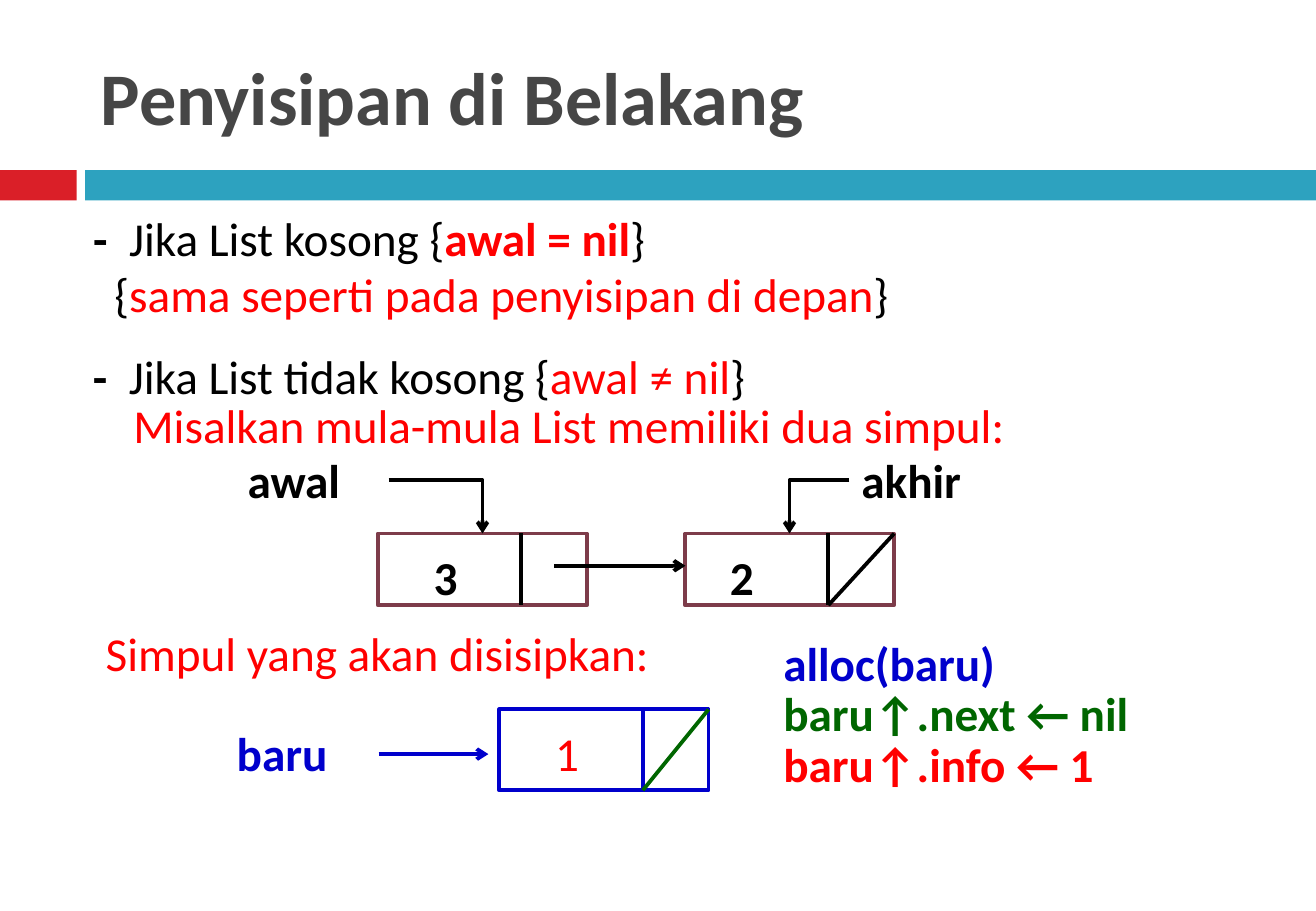
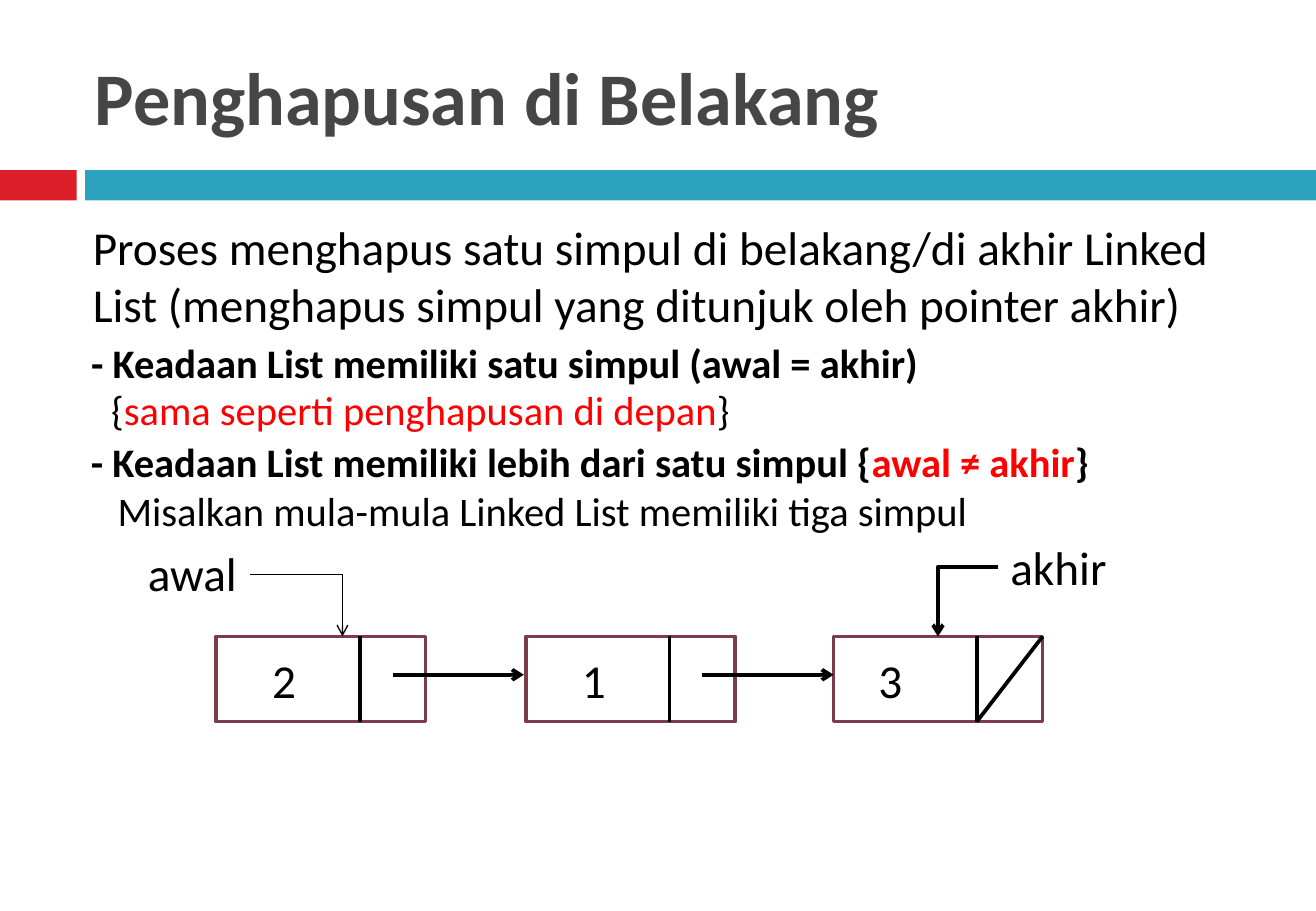
"""Build two slides on inserting and deleting at the end of a linked list."""
from dataclasses import dataclass
from typing import NamedTuple

from lxml import etree
from pptx import Presentation
from pptx.dml.color import RGBColor
from pptx.enum.shapes import MSO_CONNECTOR, MSO_SHAPE
from pptx.enum.text import MSO_ANCHOR, MSO_AUTO_SIZE, PP_ALIGN
from pptx.oxml.ns import qn
from pptx.util import Pt

RECT = MSO_SHAPE.RECTANGLE
LINE, ELBOW = MSO_CONNECTOR.STRAIGHT, MSO_CONNECTOR.ELBOW
TOP, MIDDLE = MSO_ANCHOR.TOP, MSO_ANCHOR.MIDDLE
FIXED, LEFT = MSO_AUTO_SIZE.NONE, PP_ALIGN.LEFT
FONT = "Calibri"
HUES = {
    "black": "000000", "white": "FFFFFF", "grey": "464646", "red": "FF0000",
    "blue": "0000CC", "green": "006600", "wine": "7D3C4A",
    "band": "2DA2BF", "tab": "DA1F28",
}
WIDE, HIGH = 780, 540
NODE, SPLIT, NEXT, REACH = 124, 85, 104.5, 77.8
ABOVE, BEFORE, AFTER = 0, 1, 3


class Run(NamedTuple):
    text: str
    hue: str = "black"
    bold: bool = False


@dataclass
class Node:
    x: float
    y: float
    high: float
    value: Run
    inset: float = 26
    edge: str = "wine"
    split: str = "black"
    slash: str = ""


def tint(name: str) -> RGBColor:
    return RGBColor.from_string(HUES[name])


def write(shape, *runs: Run, size=28, left=0, hang=0, more=False, anchor=TOP):
    frame = shape.text_frame
    frame.word_wrap = True
    frame.auto_size = FIXED
    frame.vertical_anchor = anchor
    para = frame.add_paragraph() if more else frame.paragraphs[0]
    para.alignment = LEFT
    para.space_before = Pt(0)
    props = para._p.get_or_add_pPr()
    props.set("marL", str(Pt(left)))
    props.set("indent", str(Pt(-hang)))
    etree.SubElement(props, qn("a:buNone"))
    for item in runs:
        run = para.add_run()
        run.text = item.text
        font = run.font
        font.name, font.size, font.bold = FONT, Pt(size), item.bold
        font.color.rgb = tint(item.hue)
    return shape


def place(shape, x: float, y: float, wide: float, high: float):
    shape.left, shape.top = Pt(x), Pt(y)
    shape.width, shape.height = Pt(wide), Pt(high)
    return shape


def label(slide, x: float, y: float, wide: float, high: float, *runs: Run, **form):
    box = slide.shapes.add_textbox(Pt(x), Pt(y), Pt(wide), Pt(high))
    return write(box, *runs, **form)


def block(slide, x: float, y: float, wide: float, high: float, fill: str, edge=""):
    box = slide.shapes.add_shape(RECT, Pt(x), Pt(y), Pt(wide), Pt(high))
    box.shadow.inherit = False
    box.fill.solid()
    box.fill.fore_color.rgb = tint(fill)
    if edge:
        box.line.color.rgb = tint(edge)
        box.line.width = Pt(2.25)
    else:
        box.line.fill.background()
    return box


def link(slide, x: float, y: float, to_x: float, to_y: float,
         hue="black", width=2.25, arrow=False, bent=False):
    kind = ELBOW if bent else LINE
    wire = slide.shapes.add_connector(kind, Pt(x), Pt(y), Pt(to_x), Pt(to_y))
    wire.line.color.rgb = tint(hue)
    wire.line.width = Pt(width)
    props = wire.element.spPr
    if bent:
        props.find(qn("a:prstGeom")).set("prst", "bentConnector2")
    if arrow:
        etree.SubElement(props.find(qn("a:ln")), qn("a:tailEnd"), type="arrow")
    etree.SubElement(props, qn("a:effectLst"))
    return wire


def point(slide, name, side: int, box):
    x = name.left + (name.width if side == AFTER else 0)
    y = name.top + name.height // 2
    mid = box.left + box.width // 2
    wire = link(slide, x / Pt(1), y / Pt(1), mid / Pt(1), box.top / Pt(1),
                arrow=True, bent=True)
    wire.begin_connect(name, side)
    wire.end_connect(box, ABOVE)


def draw(slide, node: Node):
    x, y, end = node.x, node.y, node.y + node.high
    box = block(slide, x, y, NODE, node.high, "white", node.edge)
    link(slide, x + SPLIT, y, x + SPLIT, end, node.split)
    if node.slash:
        link(slide, x + NODE, y, x + SPLIT, end, node.slash)
    label(slide, x + node.inset, y + 5, 45.5, 41, node.value)
    return box


def chain(slide, nodes: list[Node]) -> list:
    boxes = [draw(slide, node) for node in nodes]
    for node in nodes[:-1]:
        x, y = node.x + NEXT, node.y + 0.45 * node.high
        link(slide, x, y, x + REACH, y, arrow=True)
    return boxes


def start(deck, title: str, x: float):
    slide = deck.slides.add_slide(deck.slide_layouts[1])
    block(slide, 0, 100.8, 45.4, 18, "tab")
    block(slide, 50.4, 100.8, WIDE - 50.4, 18, "band")
    head = place(slide.shapes.title, x, 18, 695.5, 78)
    write(head, Run(title, "grey", True), size=44, anchor=MIDDLE)
    return slide, slide.placeholders[1]


def insert(deck):
    slide, body = start(deck, "Penyisipan di Belakang", 52.5)
    dash = Run("-\t", bold=True)
    place(body, 48, 120.25, 695.5, 96)
    write(body, dash, Run("Jika List kosong {"), Run("awal = nil", "red", True),
          Run("}"), left=21.3, hang=21.3)
    write(body, Run("{"), Run("sama seperti pada penyisipan di depan", "red"),
          Run("}"), left=12.6, more=True)
    label(slide, 48, 202.25, 695.5, 54, dash, Run("Jika List tidak kosong {"),
          Run("awal ≠ nil", "red"), Run("}"), left=21.3, hang=21.3)
    label(slide, 72, 231.25, 624, 54,
          Run("Misalkan mula-mula List memiliki dua simpul:", "red"))

    first, last = chain(slide, [
        Node(224, 316.25, 42.5, Run("3", bold=True)),
        Node(406, 316.25, 42.5, Run("2", bold=True), 19.5, slash="black"),
    ])
    awal = label(slide, 139.7, 264.25, 90.7, 41, Run("awal", bold=True))
    akhir = label(slide, 503.5, 264.25, 90.7, 41, Run("akhir", bold=True))
    point(slide, awal, AFTER, first)
    point(slide, akhir, BEFORE, last)

    label(slide, 55.5, 366.5, 624, 54, Run("Simpul yang akan disisipkan:", "red"))
    draw(slide, Node(296, 420.5, 48, Run("1", "red"), 26, "blue", "blue", "green"))
    label(slide, 133.25, 425.5, 90.7, 41, Run("baru", "blue", True))
    link(slide, 224.5, 447, 289.5, 447, "blue", arrow=True)
    steps = [("alloc(baru)", "blue"), ("baru↑.next ← nil", "green"),
             ("baru↑.info ← 1", "red")]
    for row, (text, hue) in enumerate(steps):
        label(slide, 457.2, 372.25 + 30 * row, 264, 54, Run(text, hue, True))


def delete(deck):
    slide, body = start(deck, "Penghapusan di Belakang", 49)
    label(slide, 48, 126, 700, 93.5,
          Run("Proses menghapus satu simpul di belakang/di akhir Linked List "
              "(menghapus simpul yang ditunjuk oleh pointer akhir)"))
    place(body, 46.8, 196.5, 695.5, 40)
    write(body, Run("- Keadaan List memiliki satu simpul (awal = akhir)", bold=True),
          size=24)
    label(slide, 48, 224.6, 695.5, 45, Run("{"),
          Run("sama seperti penghapusan di depan", "red"), Run("}"),
          size=24, left=10.8)
    label(slide, 46.8, 255.6, 695.5, 45,
          Run("- Keadaan List memiliki lebih dari satu simpul {", bold=True),
          Run("awal ≠ akhir", "red", True), Run("}", bold=True), size=24)
    label(slide, 62.6, 284.4, 695.5, 48,
          Run("Misalkan mula-mula Linked List memiliki tiga simpul"), size=24)

    boxes = chain(slide, [
        Node(128.2, 377.25, 50.5, Run("2")),
        Node(311.8, 377.25, 50.5, Run("1")),
        Node(494, 377.25, 50.5, Run("3"), 19.5, slash="black"),
    ])
    label(slide, 80.6, 319, 90.7, 41, Run("awal"))
    link(slide, 148.3, 340.5, 203, 377.25, width=0.79, arrow=True, bent=True)
    akhir = label(slide, 591.8, 315.4, 90.7, 41, Run("akhir"))
    point(slide, akhir, BEFORE, boxes[-1])


def main():
    deck = Presentation()
    deck.slide_width, deck.slide_height = Pt(WIDE), Pt(HIGH)
    insert(deck)
    delete(deck)
    deck.save("out.pptx")


if __name__ == "__main__":
    main()
